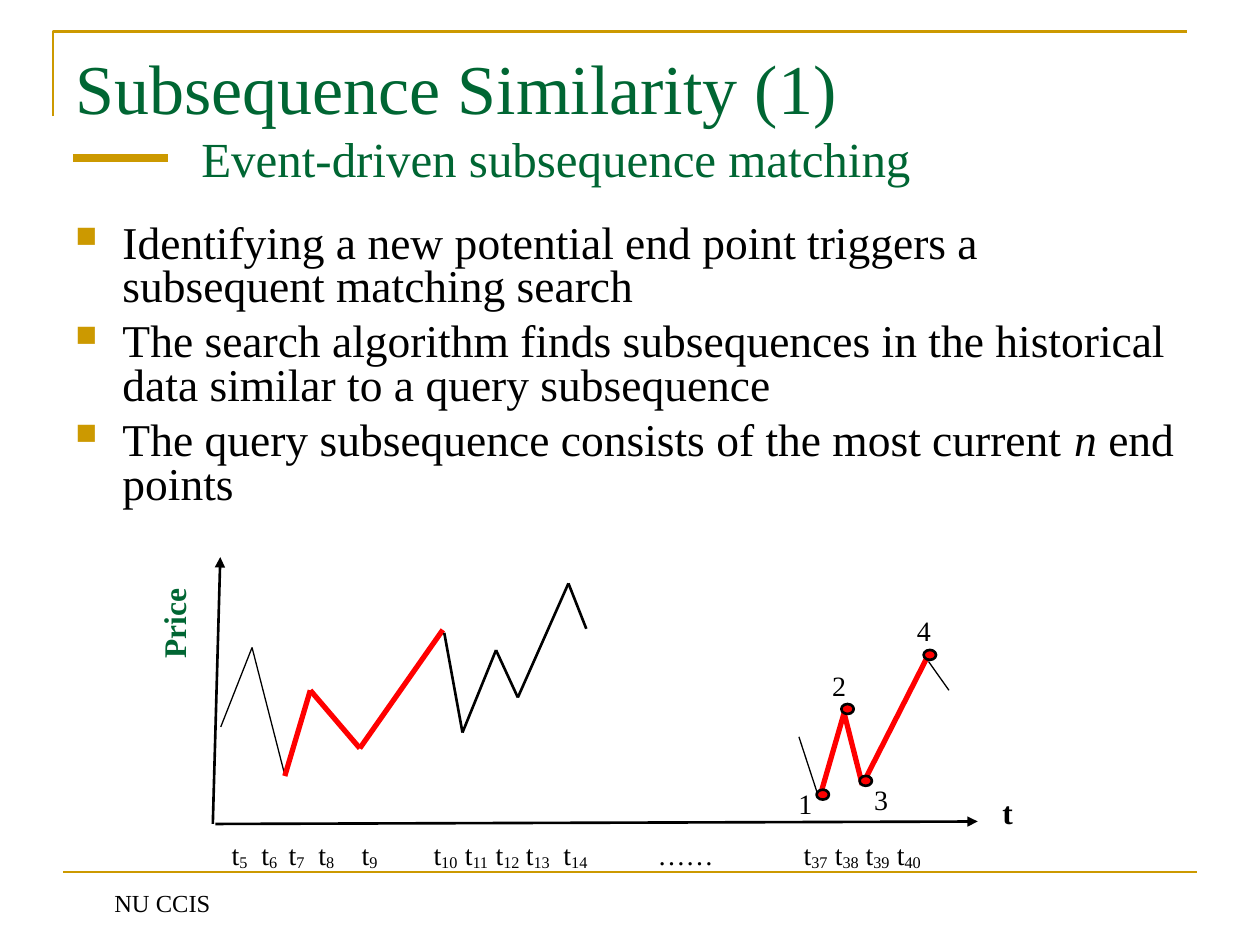
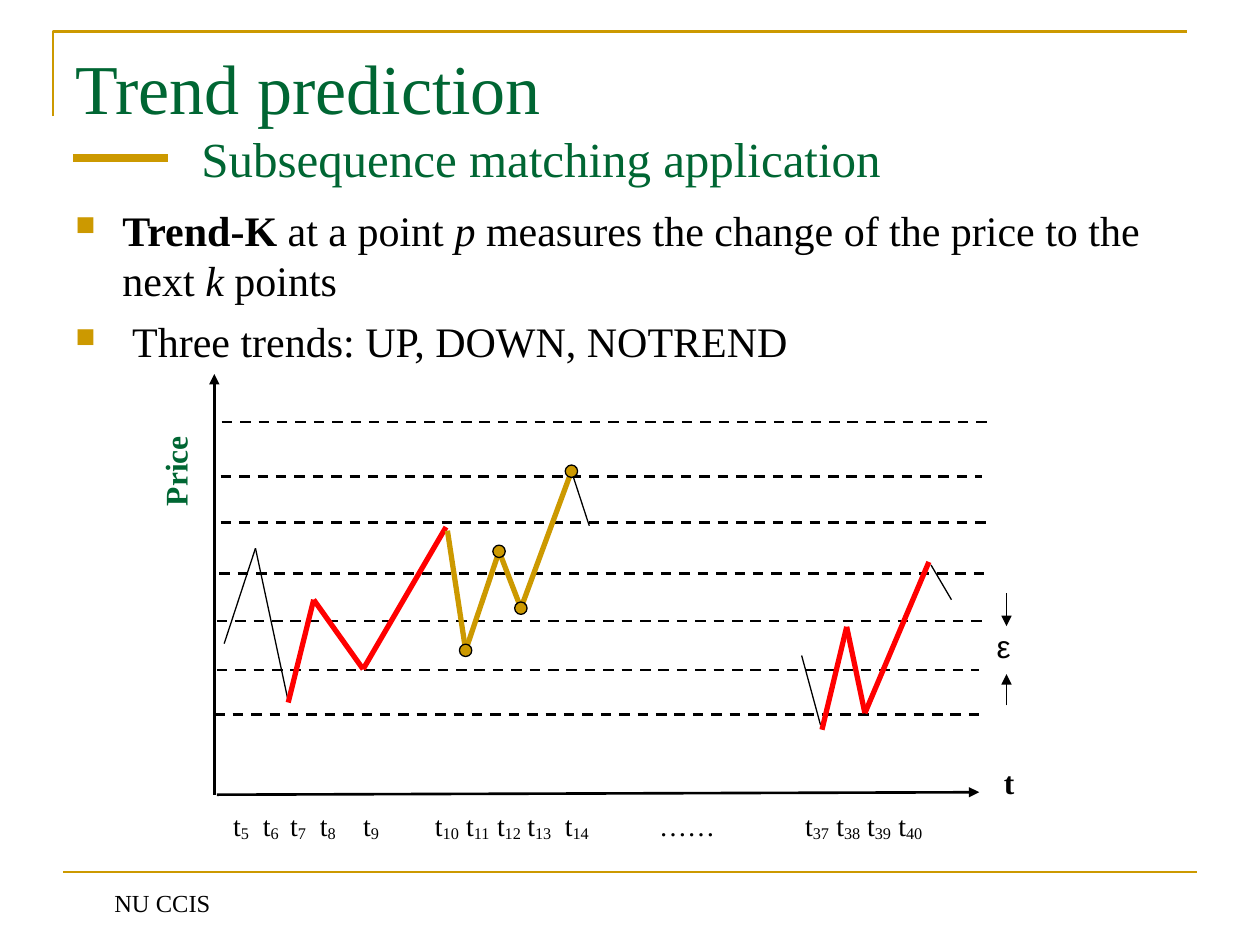
from itertools import pairwise

from pptx import Presentation
from pptx.dml.color import RGBColor
from pptx.enum.dml import MSO_LINE
from pptx.enum.shapes import MSO_CONNECTOR as Wire, MSO_SHAPE as Preset
from pptx.enum.text import MSO_ANCHOR as Anchor, MSO_AUTO_SIZE as AutoSize, PP_ALIGN as Align
from pptx.oxml.ns import qn
from pptx.util import Cm, Pt
from lxml.etree import SubElement

COLORS = {"gold": "CC9900", "green": "006633", "red": "FF0000", "black": "000000"}
SERIF = "Times New Roman"
FRAME = {"word_wrap": True, "auto_size": AutoSize.NONE, "vertical_anchor": Anchor.TOP,
         "margin_left": Cm(0.25), "margin_right": Cm(0.25),
         "margin_top": Cm(0.13), "margin_bottom": Cm(0.13)}
AXIS_NAME = {"size": Pt(18), "bold": True}
LABEL = {"size": Pt(16)}

# Price curve pieces, in percent of the width and height of the curve's box.
CURVE = {
    "start": [(0, 66.7), (4.3, 29.8), (8.8, 89)],
    "match": [(8.8, 89.5), (12.3, 49.7), (19.1, 76.6), (30.5, 21.6)],
    "follow": [(30.7, 23), (33.2, 69.3), (37.8, 31), (40.8, 53), (47.75, 0)],
    "peak": [(47.75, 0), (50.2, 21.1)],
    "lead": [(79.4, 71.3), (82, 98.2)],
    "query": [(82.2, 100), (85.6, 60.2), (88.1, 93.6), (96.9, 35.1)],
    "end": [(97.2, 36.3), (100, 49.7)],
}
TICKS = [("5", 0), ("6", 0.6), ("7", 1.15), ("8", 1.75), ("9", 2.62), ("10", 4.07),
         ("11", 4.7), ("12", 5.32), ("13", 5.93), ("14", 6.69), ("……", 8.59),
         ("37", 11.53), ("38", 12.16), ("39", 12.78), ("40", 13.41)]
LEVELS = [(0.97, 0.15, 0.17), (2.06, 0.13, 0.05), (3, 0.13, 0.17), (4.02, 0.1, 0.22),
          (4.98, 0.05, 0.17), (5.97, 0.05, 0), (6.86, 0, 0.1)]
NUMBER_OFFSETS = [(-0.74, -0.3), (-0.56, -0.94), (-0.08, -0.1), (-0.51, -0.97)]


def rgb(color):
    """Return the named colour."""
    return RGBColor.from_string(COLORS[color])


def set_format(target, values):
    """Set each attribute of target from a dict."""
    for name, value in values.items():
        setattr(target, name, value)


def add_span(para, text, color="black", **values):
    """Append a run of text in the given format."""
    span = para.add_run()
    span.text = text
    set_format(span.font, {"name": SERIF, **values})
    span.font.color.rgb = rgb(color)
    return span


def set_tabs(para, stops):
    """Give a paragraph left tab stops, in centimetres."""
    tab_list = SubElement(para._p.get_or_add_pPr(), qn("a:tabLst"))
    for stop in stops:
        SubElement(tab_list, qn("a:tab"), pos=str(Cm(stop)), algn="l")


def add_text(page, box, text="", color="black", **values):
    """Add a text box and return it with its first paragraph."""
    holder = page.shapes.add_textbox(*map(Cm, box))
    set_format(holder.text_frame, FRAME)
    para = holder.text_frame.paragraphs[0]
    if text:
        add_span(para, text, color, **values)
    return holder, para


def add_line(page, start, end, color="black", width=1.5, arrow=False, dash=None):
    """Draw a straight line between two points in centimetres."""
    line = page.shapes.add_connector(Wire.STRAIGHT, *map(Cm, (*start, *end)))
    line.line.color.rgb = rgb(color)
    set_format(line.line, {"width": Pt(width), "dash_style": dash})
    if arrow:
        SubElement(line.line._get_or_add_ln(), qn("a:tailEnd"), type="triangle")
    SubElement(line._element.spPr, qn("a:effectLst"))


def draw_frame(page):
    """Draw the corner, the bottom rule and the footer."""
    left, top, right, bottom = map(Cm, (1.07, 0.64, 23.93, 2.34))
    builder = page.shapes.build_freeform(left, bottom)
    builder.add_line_segments([(left, top), (right, top)], close=False)
    corner = builder.convert_to_shape()
    corner.shadow.inherit = False
    corner.fill.background()
    corner.line.color.rgb = rgb("gold")
    corner.line.width = Pt(1.5)
    add_line(page, (1.27, 17.58), (24.13, 17.58), "gold")
    footer, para = add_text(page, (1.27, 17.35, 4.01, 1.27), "NU CCIS", size=Pt(14))
    footer.text_frame.vertical_anchor = Anchor.BOTTOM
    para.alignment = Align.CENTER


def draw_title(page, box, heading, subtitle):
    """Fill the title with a heading and an indented second line."""
    title = page.shapes.title
    set_format(title, dict(zip(("left", "top", "width", "height"), map(Cm, box))))
    set_format(title.text_frame, FRAME)
    para = title.text_frame.paragraphs[0]
    para.alignment = Align.LEFT
    add_span(para, heading, "green", size=Pt(40))
    para.add_line_break()
    add_span(para, "\t" + subtitle, "green", size=Pt(28))
    set_tabs(para, [2.54])
    left, level = box[0] + 0.2, box[1] + 2.42
    add_line(page, (left, level), (left + 1.91, level), "gold", 4.5)


def draw_bullets(page, box, items, size, spacing):
    """List items, each a list of (text, format) pairs."""
    holder, para = add_text(page, box)
    for index, item in enumerate(items):
        if index:
            para = holder.text_frame.add_paragraph()
        set_format(para, spacing)
        props = para._p.get_or_add_pPr()
        props.set("marL", str(Cm(0.95)))
        props.set("indent", str(Cm(-0.95)))
        SubElement(SubElement(props, qn("a:buClr")), qn("a:srgbClr"), val=COLORS["gold"])
        SubElement(props, qn("a:buSzPct"), val="65000")
        SubElement(props, qn("a:buChar"), char="■")
        for text, values in item:
            add_span(para, text, size=Pt(size), **values)


def draw_axes(page, box, price_bottom, lean=0):
    """Draw the price and time axes with their names and ticks."""
    left, top, width, height = box
    right, bottom = left + width, top + height
    add_line(page, (left + 0.05, bottom), (right, bottom - 0.05), arrow=True)
    add_line(page, (left, bottom), (left + lean, top), arrow=True)
    price, _ = add_text(page, (left - 1.84, top + price_bottom - 1.56, 2.1, 1.02),
                        "Price", "green", **AXIS_NAME)
    price.rotation = 270
    add_text(page, (right + 0.25, bottom - 0.76, 1.07, 1.02), "t", **AXIS_NAME)
    _, para = add_text(page, (left + 0.13, bottom + 0.15, 15.4, 0.94))
    for index, (tick, _) in enumerate(TICKS):
        gap = "\t" if index else ""
        if tick.isdigit():
            add_span(para, gap + "t", **LABEL)
            add_span(para, tick, **LABEL)._r.get_or_add_rPr().set("baseline", "-10000")
        else:
            add_span(para, gap + tick, **LABEL)
    set_tabs(para, [stop for _, stop in TICKS[1:]])


def locate(box, piece):
    """Return the points of a curve piece within the box."""
    left, top, width, height = box
    return [(left + x * width / 100, top + y * height / 100) for x, y in CURVE[piece]]


def draw_curve(page, box, styles):
    """Draw the price curve, thin and black where no style is given."""
    for piece in CURVE:
        color, width = styles.get(piece, ("black", 0.75))
        for start, end in pairwise(locate(box, piece)):
            add_line(page, start, end, color, width)


def draw_markers(page, points, size, color, width):
    """Centre an outlined dot on each point."""
    for x, y in points:
        dot = page.shapes.add_shape(
            Preset.OVAL, *map(Cm, (x - size[0] / 2, y - size[1] / 2, *size)))
        dot.shadow.inherit = False
        dot.fill.solid()
        dot.fill.fore_color.rgb = rgb(color)
        dot.line.color.rgb = rgb("black")
        dot.line.width = Pt(width)


def draw_levels(page, box):
    """Draw the dashed price levels across the axes."""
    left, top, width, _ = box
    for offset, inset, overhang in LEVELS:
        add_line(page, (left + inset, top + offset),
                 (left + width + overhang, top + offset), dash=MSO_LINE.DASH)


def draw_epsilon(page, box):
    """Draw the level distance between two facing arrows."""
    left, top, width, height = box
    x = left + 0.45
    add_line(page, (x, top), (x, top + 0.66), width=0.75, arrow=True)
    add_line(page, (x, top + height), (x, top + height - 0.63), width=0.75, arrow=True)
    add_text(page, (left, top + 0.56, width, 1.02), "ε", size=Pt(18), name="Arial")


def start_page(deck, heading, subtitle):
    """Add a page with the shared frame and title."""
    page = deck.slides.add_slide(deck.slide_layouts[5])
    draw_frame(page)
    draw_title(page, (1.27, 0.76, 22.86, 3.45), heading, subtitle)
    return page


def build_similarity(deck):
    """Build the page on subsequence matching."""
    page = start_page(deck, "Subsequence Similarity (1)", "Event-driven subsequence matching")
    draw_bullets(page, (1.27, 4.39, 22.86, 6.4), [
        [("Identifying a new potential end point triggers a subsequent matching search", {})],
        [("The search algorithm finds subsequences in the historical data similar to a "
          "query subsequence", {})],
        [("The query subsequence consists of the most current ", {}),
         ("n", {"italic": True}), (" end points", {})],
    ], 26, {"line_spacing": 0.8, "space_before": Pt(6.5)})
    draw_axes(page, (4.29, 11.23, 15.42, 5.38), 2.3, lean=0.15)
    curve = (4.45, 11.76, 14.68, 4.34)
    draw_curve(page, curve, {"match": ("red", 3), "query": ("red", 3),
                             "follow": ("black", 1.5), "peak": ("black", 1.5)})
    points = [(x + 0.07, y - 0.08) for x, y in locate(curve, "query")]
    draw_markers(page, points, (0.25, 0.2), "red", 1.5)
    for number, ((x, y), (right, down)) in enumerate(zip(points, NUMBER_OFFSETS), 1):
        add_text(page, (x + right, y + down, 0.79, 0.94), str(number), **LABEL)


def build_prediction(deck):
    """Build the page on trend prediction."""
    page = start_page(deck, "Trend prediction", "Subsequence matching application")
    draw_bullets(page, (1.27, 3.99, 22.86, 13.1), [
        [("Trend-K", {"bold": True}), (" at a point ", {}), ("p ", {"italic": True}),
         ("measures the change of the price to the next ", {}),
         ("k", {"italic": True}), (" points", {})],
        [(" Three trends: UP, DOWN, NOTREND", {})],
    ], 24, {"space_before": Pt(6)})
    axes = (4.32, 7.54, 15.42, 8.48)
    draw_axes(page, axes, 2.91)
    draw_levels(page, axes)
    draw_epsilon(page, (19.84, 11.96, 1.35, 2.26))
    curve = (4.52, 9.5, 14.66, 5.21)
    draw_curve(page, curve, {"match": ("red", 3), "query": ("red", 3), "follow": ("gold", 3)})
    draw_markers(page, locate(curve, "follow")[1:], (0.25, 0.25), "gold", 0.75)


def main():
    """Build and save the deck."""
    deck = Presentation()
    set_format(deck, {"slide_width": Cm(25.4), "slide_height": Cm(19.05)})
    build_similarity(deck)
    build_prediction(deck)
    deck.save("out.pptx")


if __name__ == "__main__":
    main()
